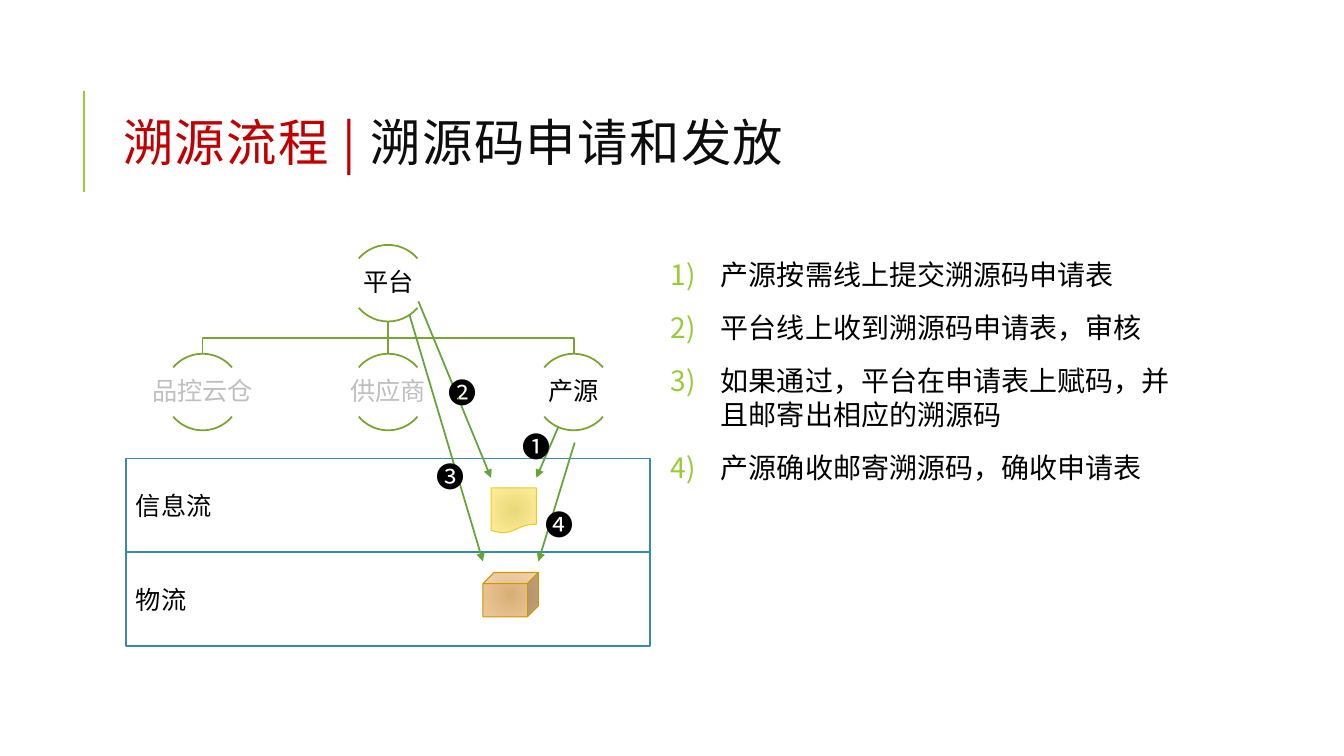
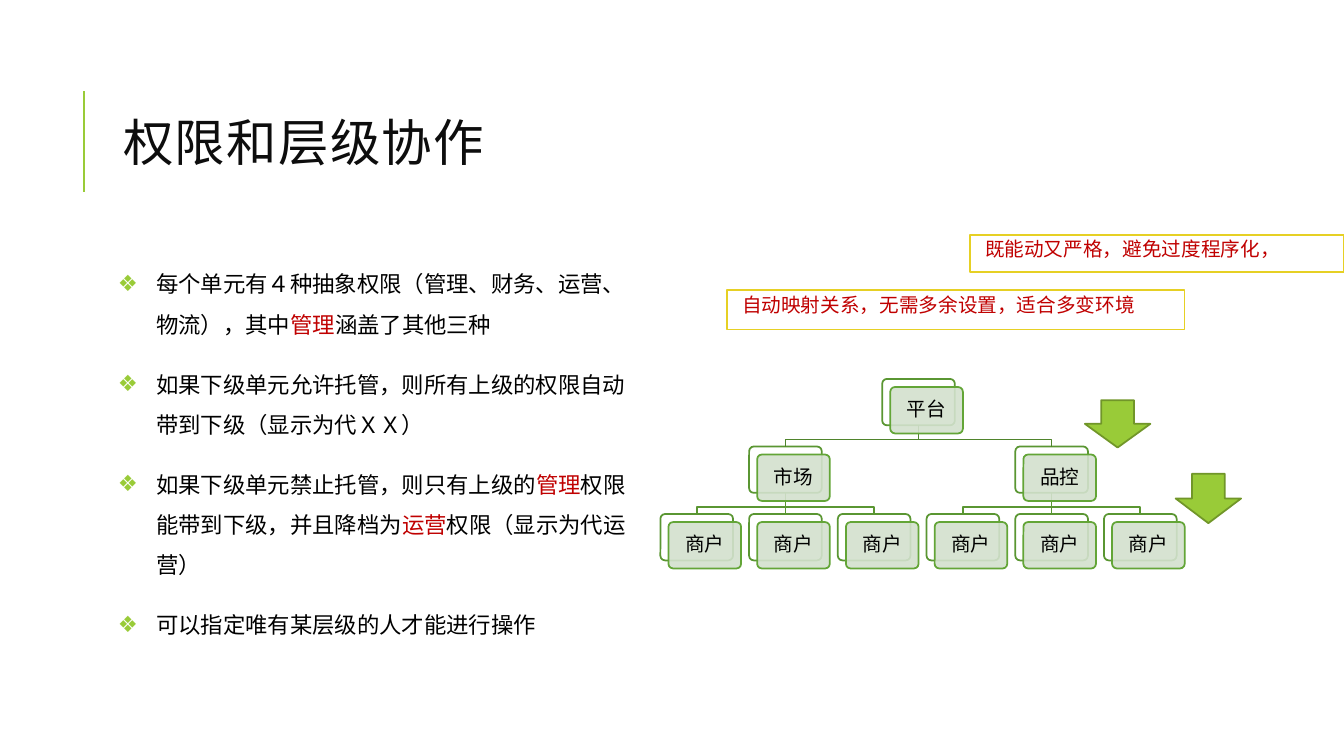
from lxml.etree import SubElement
from pptx import Presentation
from pptx.dml.color import RGBColor
from pptx.enum.shapes import MSO_CONNECTOR, MSO_SHAPE
from pptx.enum.text import MSO_ANCHOR, MSO_AUTO_SIZE, PP_ALIGN
from pptx.oxml.ns import qn
from pptx.util import Inches, Pt

FONT = "Noto Sans CJK SC"
BLACK, INK, RED, GREY, WHITE = "000000", "0D0D0D", "C00000", "BFBFBF", "FFFFFF"
LIME, OLIVE, GREEN, LEAF, MOSS = "99CB38", "7BA32D", "63A537", "5A9632", "4F842C"
PALE, BLUE, YELLOW = "D3E1CE", "378DA6", "E6D024"


def rgb(value):
    return RGBColor.from_string(value)


def lengths(*values):
    return [Inches(value) for value in values]


class Slides:
    """The deck, its style and the slide being filled."""

    def __init__(self):
        self.deck = Presentation()
        self.deck.slide_width, self.deck.slide_height = lengths(13.33, 7.5)
        self.page = None

    def new_page(self, *title):
        self.page = self.deck.slides.add_slide(self.deck.slide_layouts[1])
        self.line((0.83, 1.9), (0.83, 0.9), LIME, 1.5)
        box = self.page.shapes.title
        self.place(box, 1.12, 0.64, 10.63, 1.64)
        self.fill_text(box, [title], 36, INK, spacing=0.8, tracking=1)

    def place(self, box, *area):
        box.left, box.top, box.width, box.height = lengths(*area)

    def fill_text(self, box, paragraphs, size, color=BLACK, align=PP_ALIGN.LEFT,
                  anchor=MSO_ANCHOR.MIDDLE, spacing=None, tracking=0, insets=None):
        """Each paragraph is a list of spans: plain text or (text, colour)."""
        frame = box.text_frame
        frame.word_wrap = True
        frame.auto_size = MSO_AUTO_SIZE.NONE
        frame.vertical_anchor = anchor
        if insets:
            (frame.margin_left, frame.margin_top,
             frame.margin_right, frame.margin_bottom) = lengths(*insets)
        for index, spans in enumerate(paragraphs):
            para = frame.add_paragraph() if index else frame.paragraphs[0]
            para.alignment = align
            para.line_spacing = spacing
            font = para.font
            font.name, font.size = FONT, Pt(size)
            font.color.rgb = rgb(color)
            defaults = para._p.pPr.find(qn("a:defRPr"))
            SubElement(defaults, qn("a:ea")).set("typeface", FONT)
            if tracking:
                defaults.set("spc", str(tracking * 100))
            for item in spans:
                text, tint = (item, None) if isinstance(item, str) else item
                span = para.add_run()
                span.text = text
                if tint:
                    span.font.color.rgb = rgb(tint)

    def bullets(self, left, paragraphs, size, marker, margin, hanging, spacing=None):
        """Fill the body placeholder; marker is a tag, an attribute and its value."""
        box = self.page.placeholders[1]
        self.place(box, left, 2.5, 5.2, 4.4)
        self.fill_text(box, paragraphs, size, anchor=MSO_ANCHOR.TOP, spacing=spacing,
                       insets=(0.05, 0.05, 0.05, 0.05))
        tag, attribute, value = marker
        for para in box.text_frame.paragraphs:
            para.space_before, para.space_after = Pt(12), Pt(2)
            properties = para._p.pPr
            properties.set("marL", str(Inches(margin)))
            properties.set("indent", str(-Inches(hanging)))
            tint = SubElement(properties, qn("a:buClr"))
            SubElement(tint, qn("a:srgbClr")).set("val", LIME)
            bullet = SubElement(properties, qn(tag))
            bullet.set(attribute, value)
            properties.append(properties.find(qn("a:defRPr")))

    def shape(self, kind, area, fill, line, width=1.25, adjust=(), opacity=None):
        shape = self.page.shapes.add_shape(kind, *lengths(*area))
        self.outline(shape, line, width)
        for index, value in enumerate(adjust):
            shape.adjustments[index] = value
        if fill is None:
            shape.fill.background()
        elif isinstance(fill, tuple):
            self.radial(shape, fill)
        else:
            shape.fill.solid()
            shape.fill.fore_color.rgb = rgb(fill)
        if opacity:
            tint = shape._element.spPr.find(qn("a:solidFill"))[0]
            SubElement(tint, qn("a:alpha")).set("val", str(opacity * 1000))
        return shape

    def outline(self, shape, color, width):
        shape.shadow.inherit = False
        shape.line.color.rgb = rgb(color)
        shape.line.width = Pt(width)

    def radial(self, shape, colors):
        shape.fill.gradient()
        for stop, color in zip(shape.fill.gradient_stops, colors):
            stop.color.rgb = rgb(color)
        gradient = shape._element.spPr.find(qn("a:gradFill"))
        gradient.remove(gradient.find(qn("a:lin")))
        circle = SubElement(gradient, qn("a:path"))
        circle.set("path", "circle")
        focus = SubElement(circle, qn("a:fillToRect"))
        for side in "ltrb":
            focus.set(side, "100000")

    def text(self, area, content, size, color=BLACK, **style):
        box = self.page.shapes.add_textbox(*lengths(*area))
        self.fill_text(box, [[content]], size, color, **style)

    def line(self, start, end, color, width=1.25, arrow=False):
        line = self.page.shapes.add_connector(
            MSO_CONNECTOR.STRAIGHT, *lengths(*start, *end))
        line.line.color.rgb = rgb(color)
        line.line.width = Pt(width)
        if arrow:
            outline = line._element.spPr.find(qn("a:ln"))
            SubElement(outline, qn("a:tailEnd")).set("type", "triangle")
        SubElement(line._element.spPr, qn("a:effectLst"))
        return line

    def elbow(self, start, end, bend, color):
        """Go down to the bend, across, then down to the end."""
        corners = [(start[0], bend), (end[0], bend), end]
        builder = self.page.shapes.build_freeform(*lengths(*start), scale=1.0)
        builder.add_line_segments([lengths(*corner) for corner in corners], close=False)
        shape = builder.convert_to_shape()
        shape.fill.background()
        self.outline(shape, color, 1.25)

    def arc_node(self, center, top, label, color):
        """A label between an upper and a lower arc."""
        for angles in ((132, 192), (24, 84)):
            self.shape(MSO_SHAPE.ARC, (center - 0.38, top, 0.76, 0.76), None, OLIVE,
                       adjust=angles)
        self.text((center - 0.76, top + 0.14, 1.52, 0.49), label, 18, color,
                  align=PP_ALIGN.CENTER, spacing=0.9, insets=(0.01,) * 4)

    def callout(self, area, content):
        box = self.shape(MSO_SHAPE.RECTANGLE, area, WHITE, YELLOW)
        self.fill_text(box, [[content]], 14, RED, anchor=MSO_ANCHOR.TOP, spacing=0.9,
                       insets=(0.15, 0.05, 0.05, 0.05))

    def card_tree(self, cards, card_links):
        """Cards are (left, top, label); links are (parent, child, colour)."""
        width, height, shift = 0.72, 0.46, 0.08
        backs = [self.shape(MSO_SHAPE.ROUNDED_RECTANGLE, (left, top, width, height),
                            WHITE, LEAF, adjust=[0.1]) for left, top, _ in cards]
        for parent, child, color in card_links:
            start = (cards[parent][0] + width / 2, cards[parent][1] + height)
            end = (cards[child][0] + width / 2, cards[child][1])
            if abs(start[0] - end[0]) < 0.01:
                link = self.line(start, end, color)
                link.begin_connect(backs[parent], 2)
                link.end_connect(backs[child], 0)
            else:
                self.elbow(start, end, end[1] - 0.07, color)
        for left, top, label in cards:
            front = self.shape(MSO_SHAPE.ROUNDED_RECTANGLE,
                               (left + shift, top + shift, width, height),
                               PALE, GREEN, adjust=[0.1], opacity=90)
            self.fill_text(front, [[label]], 14, align=PP_ALIGN.CENTER, spacing=0.9,
                           insets=(0.06,) * 4)


def code_issue_page(slides):
    slides.new_page(("溯源流程 | ", RED), "溯源码申请和发放")

    # Organisation: one root above three units
    middle, step, root_top, unit_top = 3.85, 1.84, 2.43, 3.51
    root = (middle, root_top + 0.76)
    for side in (1, -1):
        slides.elbow(root, (middle + side * step, unit_top), 3.35, OLIVE)
    slides.line(root, (middle, unit_top), OLIVE)
    slides.arc_node(middle, root_top, "平台", BLACK)
    units = [("品控云仓", GREY), ("供应商", GREY), ("产源", BLACK)]
    for index, (label, color) in enumerate(units):
        slides.arc_node(middle + (index - 1) * step, unit_top, label, color)

    # Steps
    steps = ["产源按需线上提交溯源码申请表", "平台线上收到溯源码申请表，审核",
             "如果通过，平台在申请表上赋码，并且邮寄出相应的溯源码",
             "产源确收邮寄溯源码，确收申请表"]
    slides.bullets(6.55, [[item] for item in steps], 20,
                   ("a:buAutoNum", "type", "arabicParenR"), 0.55, 0.5)

    # Flow bands with the form and the parcel
    for index, label in enumerate(("信息流", "物流")):
        band = slides.shape(MSO_SHAPE.RECTANGLE, (1.25, 4.55 + index * 0.93, 5.2, 0.93),
                            WHITE, BLUE)
        slides.fill_text(band, [[label]], 18)
    slides.shape(MSO_SHAPE.FLOWCHART_DOCUMENT, (4.87, 4.84, 0.45, 0.45),
                 ("EAD979", "FFED9C"), YELLOW, 0.75)
    slides.shape(MSO_SHAPE.CUBE, (4.79, 5.68, 0.55, 0.44),
                 ("D6AF76", "F0C99B"), "CC9700", 0.75)

    # Numbered arrows: badge, start, end, badge corner
    arrows = [("❶", (5.54, 4.23), (5.32, 4.74), (5.08, 4.21)),
              ("❷", (4.15, 2.99), (4.87, 4.74), (4.35, 3.68)),
              ("❸", (4.06, 3.12), (4.79, 5.57), (4.23, 4.51)),
              ("❹", (5.7, 4.39), (5.34, 5.57), (5.31, 4.99))]
    for _, start, end, _ in arrows:
        slides.line(start, end, GREEN, arrow=True)
    for badge, _, _, corner in arrows:
        slides.text((*corner, 0.45, 0.44), badge, 20, anchor=MSO_ANCHOR.TOP)


def permission_page(slides):
    slides.new_page("权限和层级协作")

    # Rules
    manage, operate = ("管理", RED), ("运营", RED)
    rules = [["每个单元有４种抽象权限（管理、财务、运营、物流），其中", manage, "涵盖了其他三种"],
             ["如果下级单元允许托管，则所有上级的权限自动带到下级（显示为代ＸＸ）"],
             ["如果下级单元禁止托管，则只有上级的", manage, "权限能带到下级，并且降档为",
              operate, "权限（显示为代运营）"],
             ["可以指定唯有某层级的人才能进行操作"]]
    slides.bullets(1.12, rules, 16, ("a:buChar", "char", "❖"), 0.38, 0.38, spacing=1.5)

    # Hierarchy: root, two departments, three merchants under each
    left, step, top, drop = 6.55, 0.88, 3.76, 0.67
    cards = [(left + 2.5 * step, top, "平台")]
    card_links = []
    for group, department in enumerate(("市场", "品控")):
        parent = len(cards)
        first = 3 * group
        cards.append((left + (first + 1) * step, top + drop, department))
        card_links.append((0, parent, MOSS))
        for column in range(first, first + 3):
            card_links.append((parent, len(cards), LEAF))
            cards.append((left + column * step, top + 2 * drop, "商户"))
    slides.card_tree(cards, card_links)

    # Remarks and downward arrows
    slides.callout((9.62, 2.33, 3.71, 0.37), "既能动又严格，避免过度程序化，")
    slides.callout((7.21, 2.88, 4.54, 0.39), "自动映射关系，无需多余设置，适合多变环境")
    for area in ((10.76, 3.97, 0.65, 0.47), (11.66, 4.7, 0.65, 0.49)):
        slides.shape(MSO_SHAPE.DOWN_ARROW, area, LIME, "719629")


def main():
    slides = Slides()
    code_issue_page(slides)
    permission_page(slides)
    slides.deck.save("out.pptx")


if __name__ == "__main__":
    main()
